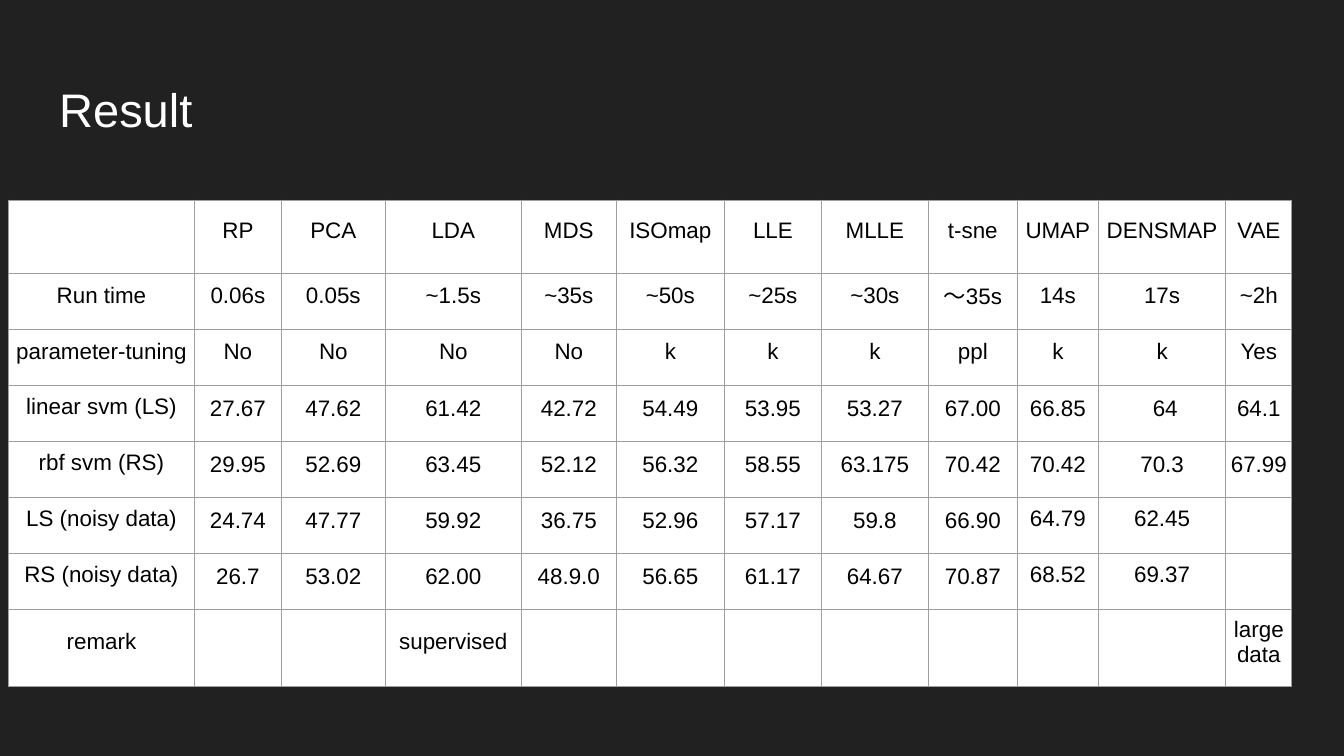
from lxml.etree import SubElement
from pptx import Presentation
from pptx.dml.color import RGBColor
from pptx.enum.text import MSO_ANCHOR as Anchor, PP_ALIGN as Align
from pptx.oxml.ns import qn
from pptx.util import Pt

BACKGROUND = RGBColor(0x21, 0x21, 0x21)
WHITE = RGBColor(0xFF, 0xFF, 0xFF)
BLACK = RGBColor(0x00, 0x00, 0x00)
BORDER = RGBColor(0x9E, 0x9E, 0x9E)

FONT = "Arial"
TITLE_BOX = (24.5, 35.3, 671, 45.4)
TABLE_BOX = (4.6, 107.3, 687.7, 260.6)
COLUMN_WIDTHS = (99.6, 46.6, 55.7, 72.9, 50.9, 57.9, 52, 57.3, 47.7, 43.4, 68.3, 35.4)
ROW_HEIGHTS = (39.1, *[30] * 6, 41.5)
SCORE_ROWS = range(3, 7)
NOISY_ROWS = range(5, 7)
FIRST_TIGHT_NOISY_COLUMN = 9

RESULTS = (
    ("", "RP", "PCA", "LDA", "MDS", "ISOmap", "LLE", "MLLE", "t-sne", "UMAP", "DENSMAP", "VAE"),
    ("Run time", "0.06s", "0.05s", "~1.5s", "~35s", "~50s", "~25s", "~30s", "～35s", "14s", "17s", "~2h"),
    ("parameter-tuning", "No", "No", "No", "No", "k", "k", "k", "ppl", "k", "k", "Yes"),
    ("linear svm (LS)", "27.67", "47.62", "61.42", "42.72", "54.49", "53.95", "53.27", "67.00", "66.85", " 64", "64.1"),
    ("rbf svm (RS)", "29.95", "52.69", "63.45", "52.12", "56.32", "58.55", "63.175", "70.42", "70.42", "70.3", "67.99"),
    ("LS (noisy data)", "24.74", "47.77", "59.92", "36.75", "52.96", "57.17", "59.8", "66.90", "64.79", "62.45", ""),
    ("RS (noisy data)", "26.7", "53.02", "62.00", "48.9.0", "56.65", "61.17", "64.67", "70.87", "68.52", "69.37", ""),
    ("remark", "", "", "supervised", "", "", "", "", "", "", "", "large data"),
)

TITLE_FRAME = {
    "margin_left": Pt(7.2), "margin_right": Pt(7.2), "margin_top": Pt(7.2),
    "margin_bottom": Pt(7.2), "vertical_anchor": Anchor.MIDDLE, "word_wrap": True,
}
CELL_FRAME = {
    "margin_left": Pt(0.75), "margin_right": Pt(0.75), "margin_top": Pt(0.75),
    "margin_bottom": Pt(7.2), "vertical_anchor": Anchor.MIDDLE,
}


def apply_format(target, values):
    """Set each named attribute of the target."""
    for name, value in values.items():
        setattr(target, name, value)


def write_text(paragraph, text, size, color, alignment):
    """Write one formatted run into a paragraph."""
    paragraph.alignment = alignment
    run = paragraph.add_run()
    run.text = text
    apply_format(run.font, {"name": FONT, "size": Pt(size)})
    run.font.color.rgb = color


def add_borders(cell):
    """Draw a thin line on all four sides of a cell."""
    properties = cell._tc.get_or_add_tcPr()
    for position, side in enumerate(("lnL", "lnR", "lnT", "lnB")):
        line = SubElement(properties, qn(f"a:{side}"), w=str(Pt(0.75)))
        fill = SubElement(line, qn("a:solidFill"))
        SubElement(fill, qn("a:srgbClr"), val=str(BORDER))
        properties.insert(position, line)


def line_spacing(row, column):
    """Return the spacing for a cell: scores are set looser than labels."""
    is_score = row in SCORE_ROWS and column > 0
    is_tight = row in NOISY_ROWS and column >= FIRST_TIGHT_NOISY_COLUMN
    return 1.15 if is_score and not is_tight else 1.0


def place_title(slide, box):
    """Place the slide title in the given box."""
    title = slide.shapes.title
    apply_format(title, dict(zip(("left", "top", "width", "height"), map(Pt, box))))
    apply_format(title.text_frame, TITLE_FRAME)
    write_text(title.text_frame.paragraphs[0], "Result", 25.2, WHITE, Align.LEFT)


def place_results_table(slide, box):
    """Place the table of results in the given box."""
    frame = slide.shapes.add_table(len(RESULTS), len(COLUMN_WIDTHS), *map(Pt, box))
    table = frame.table
    apply_format(table, {"first_row": False, "horz_banding": False})
    for column, width in zip(table.columns, COLUMN_WIDTHS):
        column.width = Pt(width)
    for row, height in zip(table.rows, ROW_HEIGHTS):
        row.height = Pt(height)
    for row_index, values in enumerate(RESULTS):
        for column_index, text in enumerate(values):
            cell = table.cell(row_index, column_index)
            apply_format(cell, CELL_FRAME)
            cell.fill.solid()
            cell.fill.fore_color.rgb = WHITE
            add_borders(cell)
            if text:
                paragraph = cell.text_frame.paragraphs[0]
                paragraph.line_spacing = line_spacing(row_index, column_index)
                write_text(paragraph, text, 12, BLACK, Align.CENTER)


def main():
    """Build and save the presentation."""
    presentation = Presentation()
    apply_format(presentation, {"slide_width": Pt(720), "slide_height": Pt(405)})
    slide = presentation.slides.add_slide(presentation.slide_layouts[5])
    slide.background.fill.solid()
    slide.background.fill.fore_color.rgb = BACKGROUND
    place_title(slide, TITLE_BOX)
    place_results_table(slide, TABLE_BOX)
    presentation.save("out.pptx")


if __name__ == "__main__":
    main()
